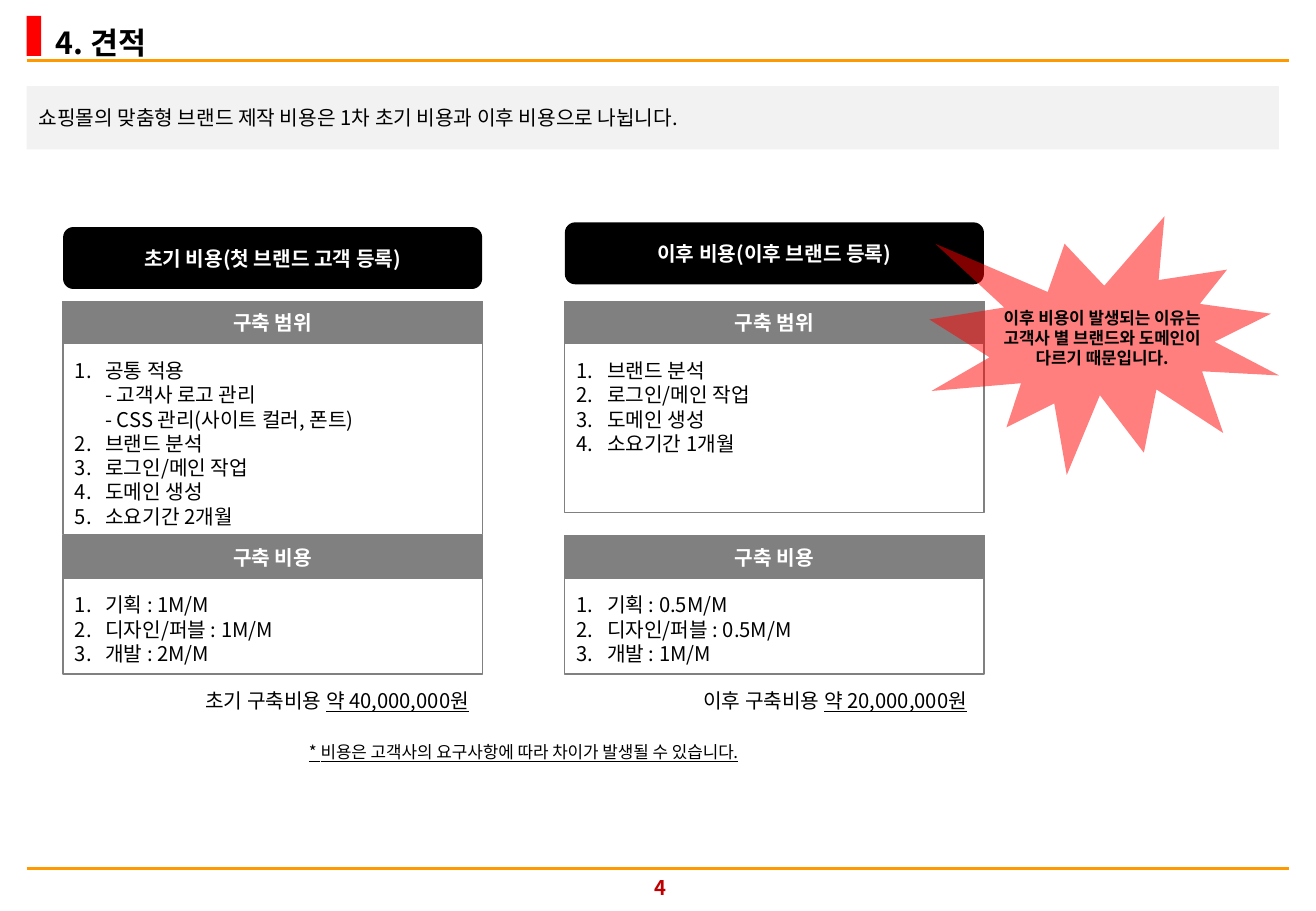
from dataclasses import dataclass

from lxml import etree
from pptx import Presentation
from pptx.dml.color import RGBColor
from pptx.enum import shapes, text
from pptx.oxml.ns import qn
from pptx.util import Pt

FONT = "Noto Sans CJK KR"
BLACK = RGBColor(0x00, 0x00, 0x00)
WHITE = RGBColor(0xFF, 0xFF, 0xFF)
GREY = RGBColor(0x80, 0x80, 0x80)
PALE_GREY = RGBColor(0xF2, 0xF2, 0xF2)
ORANGE = RGBColor(0xFF, 0x99, 0x00)
RED = RGBColor(0xFF, 0x00, 0x00)
DARK_RED = RGBColor(0xC0, 0x00, 0x00)

LEFT, CENTER, RIGHT = text.PP_ALIGN.LEFT, text.PP_ALIGN.CENTER, text.PP_ALIGN.RIGHT
RECT = shapes.MSO_SHAPE.RECTANGLE
ROUNDED = shapes.MSO_SHAPE.ROUNDED_RECTANGLE
SEAL = shapes.MSO_SHAPE.EXPLOSION1

COLUMN_WIDTH = 248.4
BODY_WIDTH = 242.6
BAR_HEIGHT = 25.2
BODY_OFFSET = 30.2


@dataclass(frozen=True)
class Box:
    left: float
    top: float
    width: float
    height: float

    def lengths(self) -> tuple:
        return Pt(self.left), Pt(self.top), Pt(self.width), Pt(self.height)


@dataclass(frozen=True)
class Style:
    size: float = 12
    color: RGBColor = BLACK
    bold: bool = False
    underline: bool = False
    align: text.PP_ALIGN = LEFT


@dataclass(frozen=True)
class Panel:
    title: str
    top: float
    height: float
    items: tuple


@dataclass(frozen=True)
class Estimate:
    left: float
    heading: str
    heading_top: float
    panels: tuple
    total_left: float
    total_label: str
    total: str


HEADING = Style(color=WHITE, bold=True, align=CENTER)

ESTIMATES = (
    Estimate(37.4, "초기 비용(첫 브랜드 고객 등록)", 134.6, (
        Panel("구축 범위", 178.6, 138.4, (
            "공통 적용\v- 고객사 로고 관리\v- CSS 관리(사이트 컬러, 폰트)",
            "브랜드 분석", "로그인/메인 작업", "도메인 생성", "소요기간 2개월")),
        Panel("구축 비용", 317.5, 82, (
            "기획 : 1M/M", "디자인/퍼블 : 1M/M", "개발 : 2M/M")),
    ), 42.5, "초기 구축비용 ", "약 40,000,000원"),
    Estimate(334.8, "이후 비용(이후 브랜드 등록)", 131.8, (
        Panel("구축 범위", 178.6, 125.3, (
            "브랜드 분석", "로그인/메인 작업", "도메인 생성", "소요기간 1개월")),
        Panel("구축 비용", 317.5, 82, (
            "기획 : 0.5M/M", "디자인/퍼블 : 0.5M/M", "개발 : 1M/M")),
    ), 337.7, "이후 구축비용 ", "약 20,000,000원"),
)


def format_run(run, style: Style) -> None:
    font = run.font
    font.size, font.bold, font.name = Pt(style.size), style.bold, FONT
    font.color.rgb = style.color
    if style.underline:
        font.underline = True
    etree.SubElement(run._r.get_or_add_rPr(), qn("a:ea"), typeface=FONT)


def write(frame, lines: tuple, style: Style, numbered: bool = False) -> None:
    for index, line in enumerate(lines):
        paragraph = frame.paragraphs[0] if index == 0 else frame.add_paragraph()
        paragraph.text = line
        paragraph.alignment = style.align
        if numbered:
            properties = paragraph._p.get_or_add_pPr()
            properties.set("marL", str(Pt(18)))
            properties.set("indent", str(-Pt(18)))
            etree.SubElement(properties, qn("a:buFont"), typeface="+mj-lt")
            etree.SubElement(properties, qn("a:buAutoNum"), type="arabicPeriod")
        for line_break in paragraph._p.findall(qn("a:br")):
            etree.SubElement(line_break, qn("a:rPr"), sz=str(int(style.size * 100)))
        for run in paragraph.runs:
            format_run(run, style)


def add_rule(slide, top: float) -> None:
    rule = slide.shapes.add_connector(
        shapes.MSO_CONNECTOR.STRAIGHT, Pt(15.8), Pt(top), Pt(763.9), Pt(top))
    rule.line.color.rgb = ORANGE
    rule.line.width = Pt(1.5)
    etree.SubElement(rule._element.spPr, qn("a:effectLst"))


def add_block(slide, kind, box: Box, fill: RGBColor, outline: RGBColor | None = None,
              lines: tuple = (), style: Style = HEADING):
    block = slide.shapes.add_shape(kind, *box.lengths())
    block.shadow.inherit = False
    block.fill.solid()
    block.fill.fore_color.rgb = fill
    if outline is None:
        block.line.fill.background()
    else:
        block.line.color.rgb = outline
        block.line.width = Pt(0.75)
    if lines:
        block.text_frame.word_wrap = False
        block.text_frame.vertical_anchor = text.MSO_ANCHOR.MIDDLE
        write(block.text_frame, lines, style)
    return block


def add_text(slide, box: Box, lines: tuple, style: Style, numbered: bool = False):
    frame = slide.shapes.add_textbox(*box.lengths()).text_frame
    frame.word_wrap = True
    write(frame, lines, style, numbered)
    return frame


def add_panel(slide, left: float, panel: Panel) -> None:
    add_block(slide, RECT, Box(left, panel.top, COLUMN_WIDTH, panel.height), WHITE, GREY)
    add_block(slide, RECT, Box(left, panel.top, COLUMN_WIDTH, BAR_HEIGHT), GREY, GREY,
              (panel.title,))
    body = Box(left, panel.top + BODY_OFFSET, BODY_WIDTH, panel.height - BODY_OFFSET)
    add_text(slide, body, panel.items, Style(), numbered=True)


def add_estimate(slide, estimate: Estimate) -> None:
    add_block(slide, ROUNDED, Box(estimate.left, estimate.heading_top, COLUMN_WIDTH, 36.7),
              BLACK, lines=(estimate.heading,))
    for panel in estimate.panels:
        add_panel(slide, estimate.left, panel)
    total = add_text(slide, Box(estimate.total_left, 404.6, BODY_WIDTH, 21.6),
                     (estimate.total_label,), Style(align=RIGHT))
    amount = total.paragraphs[0].add_run()
    amount.text = estimate.total
    format_run(amount, Style(underline=True))


def add_title(slide) -> None:
    title = slide.shapes.title
    title.left, title.top, title.width, title.height = Box(24.5, 5.8, 405.4, 34.6).lengths()
    frame = title.text_frame
    frame.auto_size = text.MSO_AUTO_SIZE.NONE
    frame.vertical_anchor = text.MSO_ANCHOR.TOP
    frame.margin_left = frame.margin_right = Pt(8.6)
    frame.margin_top = frame.margin_bottom = Pt(4.3)
    write(frame, ("4. 견적",), Style(size=18, bold=True))
    frame.paragraphs[0].line_spacing = 1.2


def main() -> None:
    deck = Presentation()
    deck.slide_width, deck.slide_height = Pt(780), Pt(540)
    slide = deck.slides.add_slide(deck.slide_layouts[5])

    # Page frame and title
    add_rule(slide, 36)
    add_block(slide, RECT, Box(15.8, 9.4, 8.6, 23.8), RED)
    add_rule(slide, 514.8)
    add_text(slide, Box(361.5, 515.5, 60, 21.6), ("4",),
             Style(color=DARK_RED, bold=True, align=CENTER))
    add_title(slide)

    # Summary band
    summary = add_block(slide, RECT, Box(15.8, 51.1, 742.3, 37.4), PALE_GREY, lines=(
        "쇼핑몰의 맞춤형 브랜드 제작 비용은 1차 초기 비용과 이후 비용으로 나뉩니다.",),
        style=Style())
    summary.text_frame.word_wrap = True
    summary.text_frame.vertical_anchor = text.MSO_ANCHOR.TOP
    summary.text_frame.paragraphs[0].line_spacing = Pt(22)

    # Initial and later costs
    for estimate in ESTIMATES:
        add_estimate(slide, estimate)

    # Reason for the later costs, half transparent
    reason = add_block(slide, SEAL, Box(550.8, 128.2, 207.4, 153.4), RED, lines=(
        "이후 비용이 발생되는 이유는", "고객사 별 브랜드와 도메인이", "다르기 때문입니다."),
        style=Style(size=10, bold=True, align=CENTER))
    fill_color = reason._element.spPr.find(qn("a:solidFill")).find(qn("a:srgbClr"))
    etree.SubElement(fill_color, qn("a:alpha"), val="50000")

    # Footnote
    add_text(slide, Box(37.4, 436.3, 545.8, 19.4),
             ("* 비용은 고객사의 요구사항에 따라 차이가 발생될 수 있습니다.",),
             Style(size=10, underline=True, align=CENTER))

    deck.save("out.pptx")


if __name__ == "__main__":
    main()
